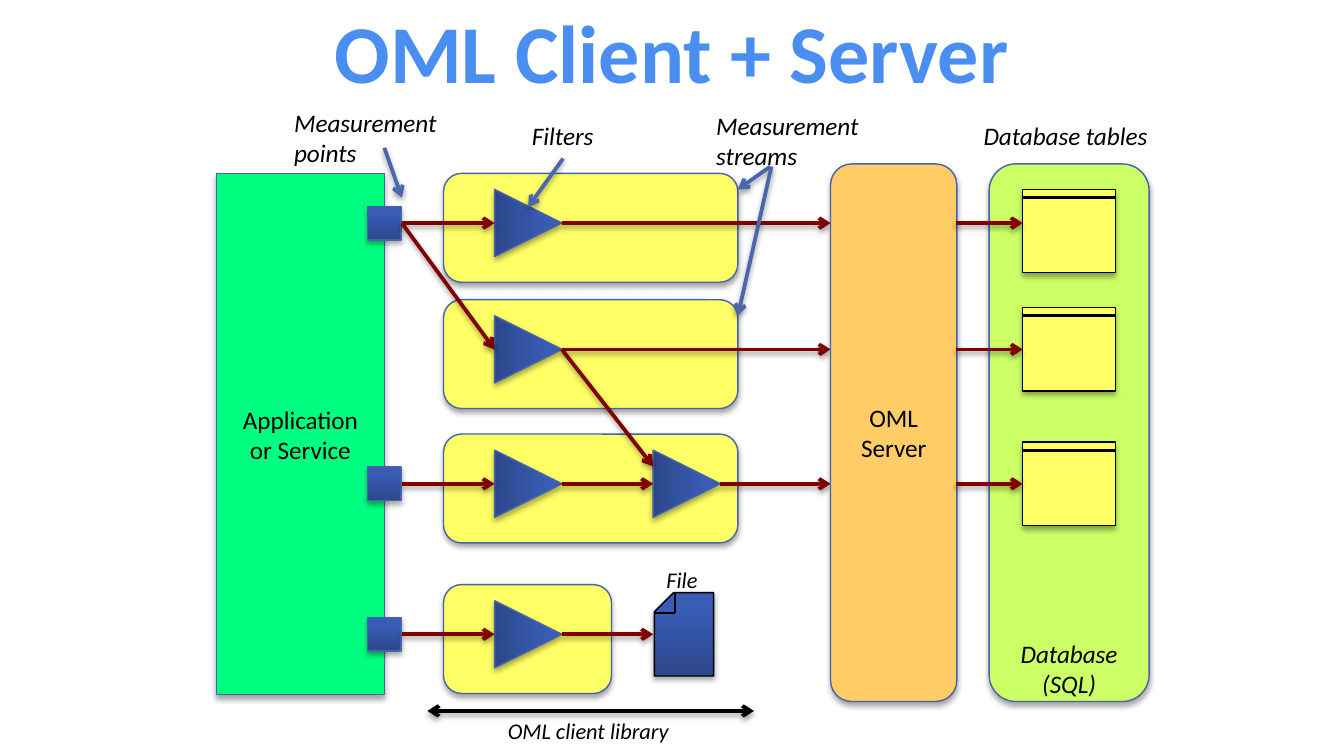
from collections import namedtuple

from lxml import etree
from pptx import Presentation
from pptx import util as u
from pptx.dml.color import RGBColor
from pptx.enum import shapes as kinds, text
from pptx.oxml.ns import qn

Box = namedtuple("Box", "left top width height")
SHAPE = kinds.MSO_SHAPE
BLACK = RGBColor(0x00, 0x00, 0x00)
TITLE_BLUE = RGBColor(0x4A, 0x8E, 0xF2)
OUTLINE = RGBColor(0x46, 0x63, 0xAB)
POINTER = RGBColor(0x4A, 0x66, 0xAC)
FLOW = RGBColor(0x80, 0x00, 0x00)
DARK_BLUE = RGBColor(0x2C, 0x47, 0x8B)
LIGHT_BLUE = RGBColor(0x39, 0x5D, 0xB5)
GREEN = RGBColor(0x00, 0xFF, 0x80)
YELLOW = RGBColor(0xFF, 0xFF, 0x66)
ORANGE = RGBColor(0xFF, 0xCC, 0x66)
LIME = RGBColor(0xCC, 0xFF, 0x66)
FONT = "Calibri"
ROWS = [0.37, 1.31, 2.31, 3.43]
FILTER_SIZE = 0.5
PORT_SIZE = 0.25


def set_effects(shape, distance=None, alpha=0):
    effects = etree.SubElement(shape._element.spPr, qn("a:effectLst"))
    if distance is None:
        return
    shadow = etree.SubElement(
        effects, qn("a:outerShdw"), blurRad=str(u.Pt(3.1)), dist=str(u.Pt(distance)),
        dir="5400000", rotWithShape="0")
    color = etree.SubElement(shadow, qn("a:srgbClr"), val=str(BLACK))
    etree.SubElement(color, qn("a:alpha"), val=str(alpha * 1000))


def add_block(shapes, kind, box, fill=None, line=OUTLINE):
    shape = shapes.add_shape(kind, *map(u.Inches, box))
    if fill is None:
        shape.fill.gradient()
        shape.fill.gradient_angle = 90
        stops = zip(shape.fill.gradient_stops, (0, 0.8), (DARK_BLUE, LIGHT_BLUE))
        for stop, position, color in stops:
            stop.position = position
            stop.color.rgb = color
    else:
        shape.fill.solid()
        shape.fill.fore_color.rgb = fill
    shape.line.color.rgb = line
    shape.line.width = u.Pt(0.75)
    set_effects(shape, 1.8, 35)
    return shape


def add_line(shapes, start, end, color=BLACK, width=2.0, ends=("tailEnd",)):
    points = map(u.Inches, (*start, *end))
    connector = shapes.add_connector(kinds.MSO_CONNECTOR.STRAIGHT, *points)
    connector.line.color.rgb = color
    connector.line.width = u.Pt(width)
    for end_name in ends:
        etree.SubElement(connector.line._ln, qn("a:" + end_name), type="arrow")
    set_effects(connector, *((1.6, 38) if ends else ()))


def write(frame, lines, size=13.5, italic=False, align=None):
    for index, line in enumerate(lines):
        paragraph = frame.add_paragraph() if index else frame.paragraphs[0]
        paragraph.alignment = align
        run = paragraph.add_run()
        run.text = line
        run.font.name = FONT
        run.font.size = u.Pt(size)
        run.font.italic = italic
        run.font.color.rgb = BLACK


def add_label(slide, box, lines, size=13.5):
    frame = slide.shapes.add_textbox(*map(u.Inches, box)).text_frame
    frame.word_wrap = False
    frame.auto_size = text.MSO_AUTO_SIZE.SHAPE_TO_FIT_TEXT
    write(frame, lines, size, italic=True)


def fill_title(slide, box):
    title = slide.shapes.title
    title.left, title.top, title.width, title.height = map(u.Inches, box)
    frame = title.text_frame
    frame.vertical_anchor = text.MSO_ANCHOR.MIDDLE
    paragraph = frame.paragraphs[0]
    paragraph.alignment = text.PP_ALIGN.CENTER
    run = paragraph.add_run()
    run.text = "OML Client + Server"
    run.font.name = FONT
    run.font.size = u.Pt(44)
    run.font.bold = True
    run.font.color.rgb = TITLE_BLUE


def add_named_block(slide, kind, box, fill, name):
    frame = add_block(slide.shapes, kind, box, fill).text_frame
    frame.word_wrap = True
    frame.vertical_anchor = text.MSO_ANCHOR.MIDDLE
    write(frame, [name], align=text.PP_ALIGN.CENTER)


def add_application(slide, box):
    add_named_block(slide, SHAPE.RECTANGLE, box, GREEN, "Application or Service")
    left = box.left + box.width - PORT_SIZE / 2
    for row in (ROWS[0], ROWS[2], ROWS[3]):
        top = box.top + row - PORT_SIZE / 2
        add_block(slide.shapes, SHAPE.RECTANGLE, Box(left, top, PORT_SIZE, PORT_SIZE))


def add_file(slide, box):
    shapes = slide.shapes.add_group_shape().shapes
    page = add_block(shapes, SHAPE.SNIP_1_RECTANGLE, box, line=BLACK)
    page.adjustments[0] = 0.322
    page._element.spPr.find(qn("a:xfrm")).set("flipH", "1")
    fold = 0.15
    corner = (box.left + fold, box.top + fold)
    add_line(shapes, (box.left, box.top + fold), corner, width=1, ends=())
    add_line(shapes, (box.left + fold, box.top), corner, width=1, ends=())


def add_client_library(slide, box):
    rows = [box.top + row for row in ROWS]
    first, second = box.left + 0.69, box.left + 1.87
    first_out, second_out = first + FILTER_SIZE, second + FILTER_SIZE
    right = box.left + box.width
    filters = [(first, row) for row in rows] + [(second, rows[2])]
    for row, width in zip(rows, (2.19, 2.19, 2.19, 1.25)):
        stage = Box(box.left + 0.31, row - 0.37, width, 0.81)
        add_block(slide.shapes, SHAPE.ROUNDED_RECTANGLE, stage, YELLOW)
    for left, row in filters:
        triangle = Box(left, row - FILTER_SIZE / 2, FILTER_SIZE, FILTER_SIZE)
        add_block(slide.shapes, SHAPE.ISOSCELES_TRIANGLE, triangle).rotation = 90
    for row in (rows[0], rows[2], rows[3]):
        add_line(slide.shapes, (box.left, row), (first, row), FLOW)
    outputs = zip(rows, (first_out, first_out, second_out, first_out),
                  (right, right, right, second))
    for row, start, end in outputs:
        add_line(slide.shapes, (start, row), (end, row), FLOW)
    add_line(slide.shapes, (first_out, rows[2]), (second, rows[2]), FLOW)
    add_line(slide.shapes, (box.left, rows[0]), (first, rows[1]), FLOW)
    add_line(slide.shapes, (first_out, rows[1]), (second, rows[2] - 0.13), FLOW)
    add_file(slide, Box(second + 0.01, rows[3] - 0.31, 0.44, 0.62))
    add_label(slide, Box(second, rows[3] - 0.56, 0.44, 0.3), ["File"], 12)
    bottom = box.top + box.height
    add_line(slide.shapes, (box.left + 0.19, bottom), (box.left + 2.62, bottom),
             ends=("headEnd", "tailEnd"))
    add_label(slide, Box(first, bottom, 1.41, 0.3), ["OML client library"], 12)


def add_database(slide, box):
    frame = add_block(slide.shapes, SHAPE.ROUNDED_RECTANGLE, box, LIME).text_frame
    frame.word_wrap = True
    frame.vertical_anchor = text.MSO_ANCHOR.TOP
    frame.margin_top = u.Inches(3.47)
    frame.margin_bottom = 0
    write(frame, ["Database", "(SQL)"], italic=True, align=text.PP_ALIGN.CENTER)
    left, width = box.left + 0.25, 0.69
    for offset in (0.19, 1.07, 2.07):
        top = box.top + offset
        shapes = slide.shapes.add_group_shape().shapes
        add_block(shapes, SHAPE.RECTANGLE, Box(left, top, width, 0.62), YELLOW, BLACK)
        header = top + 0.06
        add_line(shapes, (left, header), (left + width, header), width=1.5, ends=())


def add_table_links(slide, box):
    for row in ROWS[:3]:
        y = box.top + row
        add_line(slide.shapes, (box.left, y), (box.left + box.width, y), FLOW)


def add_callouts(slide, box):
    labels = [
        (Box(0, 0, 1.32, 0.56), ["Measurement", "points"]),
        (Box(1.77, 0.1, 0.67, 0.33), ["Filters"]),
        (Box(3.14, 0.02, 1.32, 0.56), ["Measurement", "streams"]),
        (Box(5.13, 0.1, 1.44, 0.33), ["Database tables"]),
    ]
    for label, lines in labels:
        place = label._replace(left=box.left + label.left, top=box.top + label.top)
        add_label(slide, place, lines)
    pointers = [((0.77, 0.35), (0.9, 0.72)), ((2.1, 0.43), (1.84, 0.79)),
                ((3.64, 0.49), (3.4, 0.66)), ((3.65, 0.49), (3.4, 1.6))]
    for pointer in pointers:
        start, end = [(box.left + x, box.top + y) for x, y in pointer]
        add_line(slide.shapes, start, end, POINTER)


def main():
    presentation = Presentation()
    presentation.slide_width = u.Inches(10)
    presentation.slide_height = presentation.slide_width * 9 // 16
    slide = presentation.slides.add_slide(presentation.slide_layouts[5])
    fill_title(slide, Box(0, 0, 10, 0.76))
    add_application(slide, Box(1.61, 1.29, 1.25, 3.88))
    add_client_library(slide, Box(2.99, 1.29, 3.19, 4))
    add_named_block(slide, SHAPE.ROUNDED_RECTANGLE, Box(6.18, 1.22, 0.94, 4),
                    ORANGE, "OML Server")
    add_database(slide, Box(7.36, 1.22, 1.19, 4))
    add_table_links(slide, Box(7.11, 1.29, 0.5, 4))
    add_callouts(slide, Box(2.09, 0.75, 6.57, 0.6))
    presentation.save("out.pptx")


if __name__ == "__main__":
    main()
